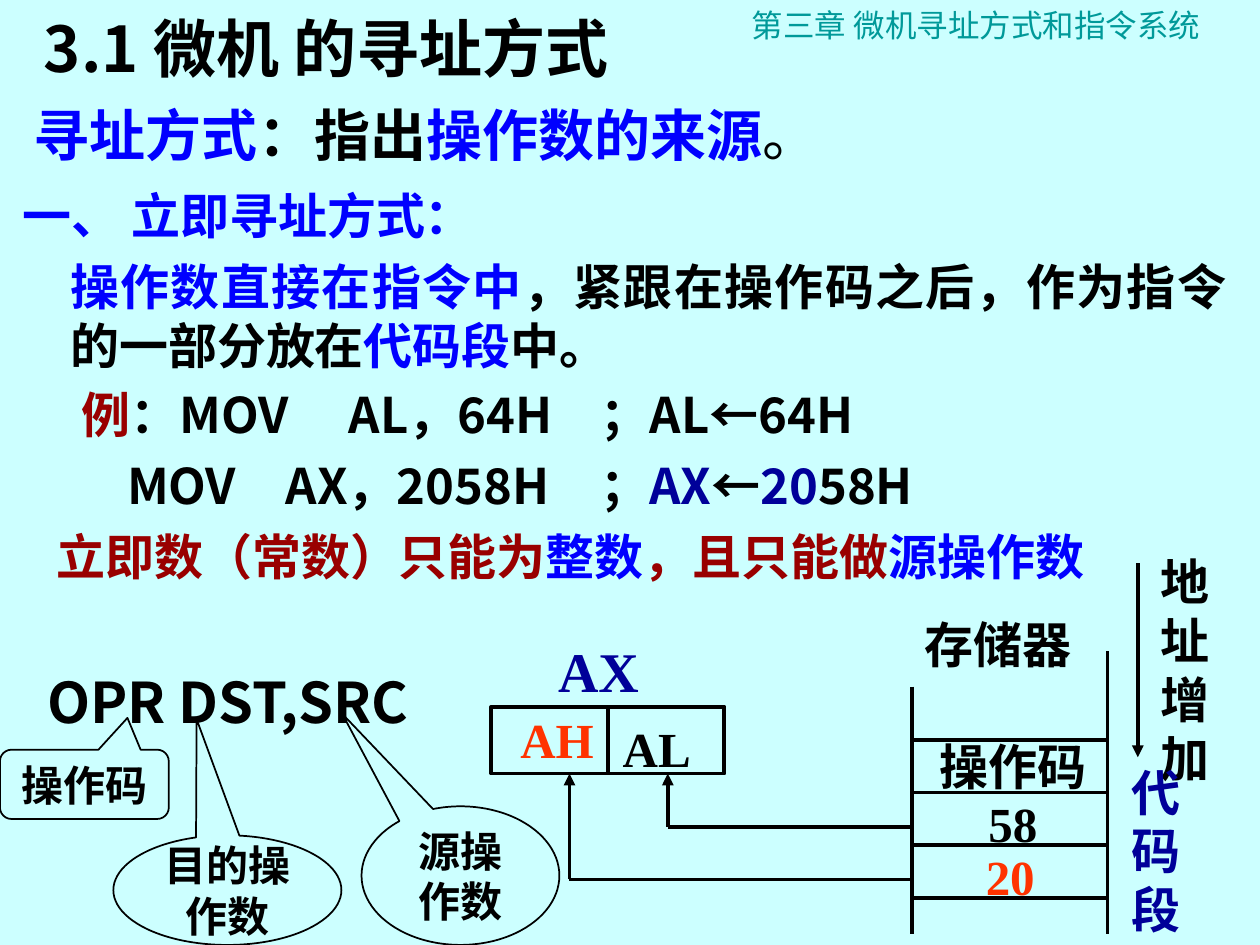
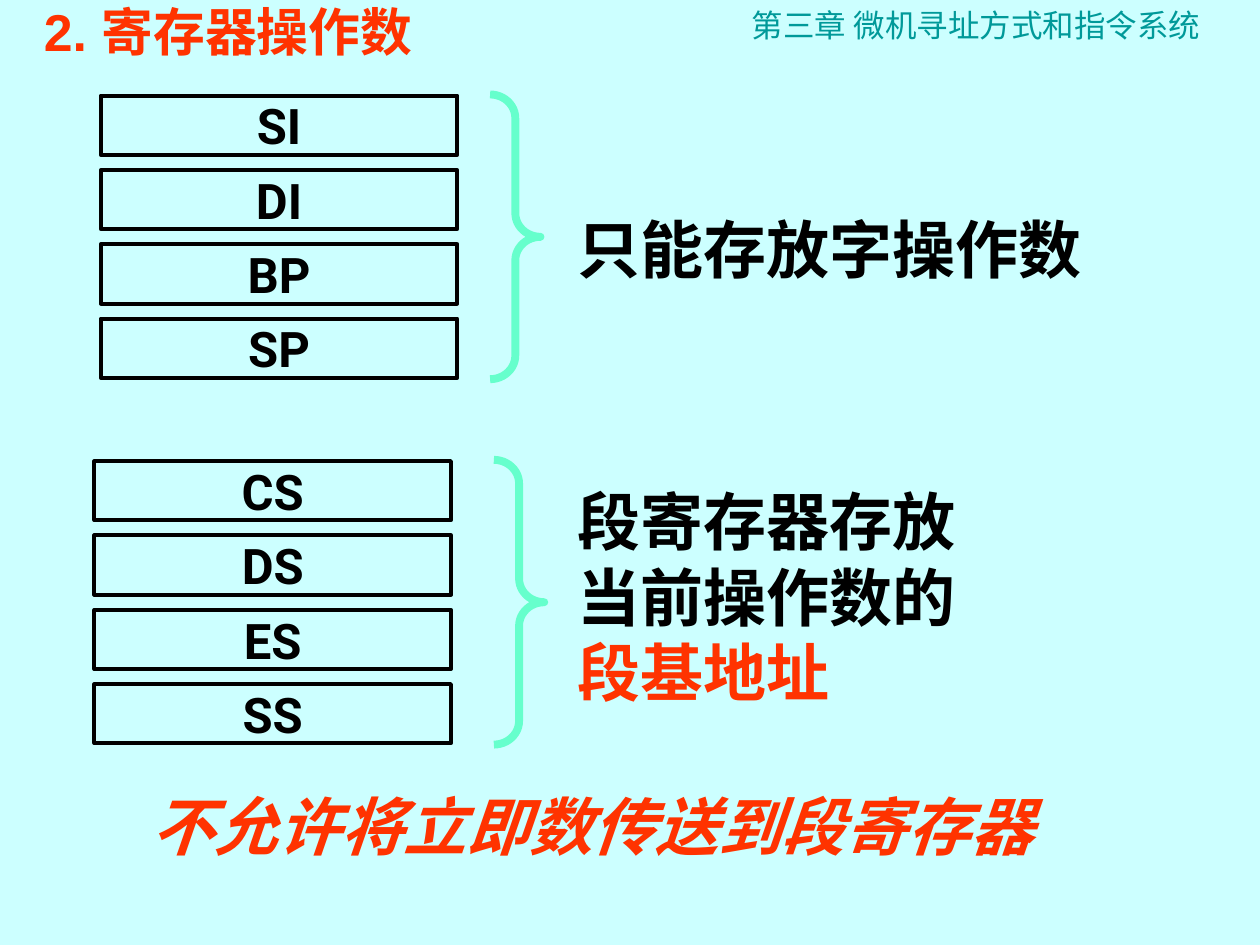
from lxml.etree import SubElement
from pptx import Presentation
from pptx.dml.color import RGBColor
from pptx.enum.shapes import MSO_CONNECTOR, MSO_SHAPE
from pptx.enum.text import MSO_ANCHOR, PP_ALIGN
from pptx.oxml.ns import qn
from pptx.util import Inches, Pt

PALE_CYAN = RGBColor(0xCC, 0xFF, 0xFF)
TEAL = RGBColor(0x00, 0x99, 0x99)
BLACK = RGBColor(0, 0, 0)
BLUE = RGBColor(0, 0, 0xFF)
NAVY = RGBColor(0, 0, 0x99)
MAROON = RGBColor(0x99, 0, 0)
ORANGE = RGBColor(0xFF, 0x33, 0)
MINT = RGBColor(0x66, 0xFF, 0xCC)

CJK = "Noto Sans CJK SC"
SERIF = "Times New Roman"
SANS = "Arial"
REGISTER_FONT = "Roboto"

MEMORY_LEFT, MEMORY_RIGHT = 7.24, 8.79
MEMORY_TOP, MEMORY_PITCH = 5.87, 0.42
REGISTER_PITCH = 0.59


def write(frame, paragraphs, size=28, font=CJK, color=BLACK, bold=True, italic=False,
          align=PP_ALIGN.LEFT, anchor=MSO_ANCHOR.TOP, inset=(0.1, 0.05),
          gap=0, line_spacing=None, layouts=()):
    """Fill a frame with text, or with paragraphs made of (text, colour, bold) runs."""
    if isinstance(paragraphs, str):
        paragraphs = [[(paragraphs, color)]]
    frame.word_wrap = True
    frame.vertical_anchor = anchor
    frame.margin_left = frame.margin_right = Inches(inset[0])
    frame.margin_top = frame.margin_bottom = Inches(inset[1])
    for index, runs in enumerate(paragraphs):
        paragraph = frame.add_paragraph() if index else frame.paragraphs[0]
        paragraph.alignment = align
        if index and gap:
            paragraph.space_before = Pt(gap)
        if line_spacing:
            paragraph.line_spacing = line_spacing
        if layouts:
            set_indents(paragraph, *layouts[index])
        for text, run_color, *run_bold in runs:
            run = paragraph.add_run()
            run.text = text
            run.font.size = Pt(size)
            run.font.name = font
            run.font.bold = run_bold[0] if run_bold else bold
            run.font.italic = italic
            run.font.color.rgb = run_color
            SubElement(run.font._element, qn("a:ea"), typeface=CJK)


def set_indents(paragraph, margin, first_line, *stops):
    """Set the left margin, first-line indent and tab stops in inches."""
    properties = paragraph._p.get_or_add_pPr()
    properties.set("marL", str(Inches(margin)))
    properties.set("indent", str(Inches(first_line)))
    if stops:
        tabs = SubElement(properties, qn("a:tabLst"))
        for stop in stops:
            SubElement(tabs, qn("a:tab"), pos=str(Inches(stop)), algn="l")


def add_text(slide, place, paragraphs, **style):
    """Add a text box at a place given as left, top, width, height."""
    box = slide.shapes.add_textbox(*map(Inches, place))
    write(box.text_frame, paragraphs, **style)


def add_outline(slide, kind, place, color=BLACK, width=2.25, adjustments=()):
    """Add an unfilled preset shape and return it."""
    outline = slide.shapes.add_shape(kind, *map(Inches, place))
    outline.shadow.inherit = False
    outline.fill.background()
    outline.line.color.rgb = color
    outline.line.width = Pt(width)
    for index, value in enumerate(adjustments):
        outline.adjustments[index] = value
    return outline


def add_line(slide, start, end, arrow=False):
    """Add a straight black line, optionally with an arrowhead at its end."""
    line = slide.shapes.add_connector(MSO_CONNECTOR.STRAIGHT, *map(Inches, (*start, *end)))
    line.line.color.rgb = BLACK
    line.line.width = Pt(2.25)
    if arrow:
        SubElement(line.line._get_or_add_ln(), qn("a:tailEnd"), type="triangle")
    SubElement(line._element.spPr, qn("a:effectLst"))
    return line


def add_callout(slide, kind, place, pointer, text):
    """Add a thin callout with centred text."""
    callout = add_outline(slide, kind, place, width=1, adjustments=pointer)
    write(callout.text_frame, text, size=24, align=PP_ALIGN.CENTER, anchor=MSO_ANCHOR.MIDDLE)


def add_register_group(slide, left, top, names, brace_left, brace_top):
    """Stack register boxes and close them with a brace."""
    for row, name in enumerate(names):
        register = add_outline(slide, MSO_SHAPE.RECTANGLE,
                               (left, top + row * REGISTER_PITCH, 2.83, 0.47))
        write(register.text_frame, name, font=REGISTER_FONT, align=PP_ALIGN.CENTER,
              anchor=MSO_ANCHOR.MIDDLE, inset=(0, 0))
    add_outline(slide, MSO_SHAPE.RIGHT_BRACE, (brace_left, brace_top, 0.4, 2.26),
                color=MINT, width=4.5, adjustments=(0.47, 0.5))


def add_chapter_slide(deck):
    """Add a blank slide with the background and chapter header."""
    slide = deck.slides.add_slide(deck.slide_layouts[6])
    slide.background.fill.solid()
    slide.background.fill.fore_color.rgb = PALE_CYAN
    add_text(slide, (5.87, 0, 3.94, 0.4), "第三章 微机寻址方式和指令系统",
             size=18, font=SANS, color=TEAL, bold=False)
    return slide


def add_definitions(slide):
    """Add the title, definitions and instruction examples."""
    add_text(slide, (0.25, 0, 6.35, 0.75), "3.1 微机 的寻址方式", size=36,
             anchor=MSO_ANCHOR.MIDDLE)
    add_text(slide, (0.17, 0.75, 7.58, 0.67),
             [[("寻址方式", BLUE), ("：指出", BLACK), ("操作数的来源", BLUE),
               ("。", BLACK, False)]], size=32)
    add_text(slide, (0.08, 1.42, 9.75, 1.58), [
        [("一、 立即寻址方式：", BLUE)],
        [("操作数直接在指令中", BLUE), ("，紧跟在操作码之后，作为指令的一部分放在", BLACK),
         ("代码段", BLUE), ("中。", BLACK)],
    ], align=PP_ALIGN.JUSTIFY, gap=7, layouts=[(0, 0), (0.38, 0)])
    add_text(slide, (0.17, 3, 9.75, 1.75), [
        [("例", MAROON), ("：MOV\tAL，64H\t；AL←64H", BLACK)],
        [("MOV\tAX，2058H\t；", BLACK), ("AX", NAVY), ("←", BLACK), ("20", NAVY),
         ("58H", BLACK)],
        [("立即数（常数）只能为", MAROON), ("整数", BLUE), ("，且只能做", MAROON),
         ("源操作数", BLUE)],
    ], gap=7, layouts=[(0, 0.38, 2.28, 4.62), (0, 0.74, 2.46, 5.09), (0, 0.18)])


def add_instruction_format(slide):
    """Add the instruction format and its callouts."""
    add_text(slide, (0, 5.25, 3.62, 0.63), "OPR DST,SRC", size=32, align=PP_ALIGN.CENTER)
    add_callout(slide, MSO_SHAPE.ROUNDED_RECTANGULAR_CALLOUT, (0, 5.95, 1.34, 0.55),
                (0.255, -0.959, 0.167), "操作码")
    for place, pointer, text in (
        ((0.9, 6.63, 1.81, 0.87), (-0.135, -1.56), "目的操作数"),
        ((2.87, 6.4, 1.57, 1.1), (-0.598, -1.168), "源操作数"),
    ):
        add_callout(slide, MSO_SHAPE.OVAL_CALLOUT, place, pointer, text)


def add_memory_diagram(slide):
    """Draw the AX register, the memory column and the data paths."""
    ax_register = add_outline(slide, MSO_SHAPE.RECTANGLE, (3.9, 5.61, 1.85, 0.53))
    half_divider = add_line(slide, (4.83, 5.61), (4.83, 6.14))
    half_divider.begin_connect(ax_register, 0)
    half_divider.end_connect(ax_register, 2)

    for row in range(4):
        y = MEMORY_TOP + row * MEMORY_PITCH
        add_line(slide, (MEMORY_LEFT, y), (MEMORY_RIGHT, y))
    for x, top in ((MEMORY_LEFT, 5.45), (MEMORY_RIGHT, 5.17)):
        add_line(slide, (x, top), (x, 7.41))
    for x, y in ((5.3, 6.56), (4.52, 6.98)):
        add_line(slide, (x, y), (MEMORY_LEFT, y))
        add_line(slide, (x, y), (x, 6.14), arrow=True)
    add_line(slide, (9.03, 4.47), (9.03, 6.01), arrow=True)

    add_text(slide, (7.24, 4.83, 1.6, 0.57), "存储器", font=SERIF)
    add_text(slide, (4.17, 5, 1, 0.64), "AX", size=32, font=SERIF, color=NAVY,
             align=PP_ALIGN.RIGHT)
    for place, text, color in (
        ((7.24, 5.8, 1.48, 0.57), "操作码", BLACK),
        ((7.59, 6.25, 0.74, 0.57), "58", BLACK),
        ((7.67, 6.67, 0.64, 0.57), "20", ORANGE),
        ((9.11, 4.33, 0.47, 1.97), "地址增加", BLACK),
        ((8.79, 6, 0.68, 1.5), "代码段", NAVY),
        ((4.05, 5.65, 1.53, 0.57), "AL", BLACK),
        ((3.92, 5.58, 0.89, 0.57), "AH", ORANGE),
    ):
        add_text(slide, place, text, font=SERIF, color=color, align=PP_ALIGN.RIGHT)


def add_register_operands(slide):
    """Add the two register groups with their rules."""
    add_text(slide, (0.25, 0.08, 3.67, 0.5), "2. 寄存器操作数", size=29.6, font=SANS,
             color=ORANGE, line_spacing=0.7)
    add_register_group(slide, 0.8, 0.76, ("SI", "DI", "BP", "SP"), 3.89, 0.75)
    add_register_group(slide, 0.75, 3.66, ("CS", "DS", "ES", "SS"), 3.92, 3.65)
    rule_style = {"size": 36, "font": SERIF, "inset": (0, 0)}
    add_text(slide, (4.58, 1.67, 4.33, 0.6), "只能存放字操作数", **rule_style)
    add_text(slide, (4.58, 3.83, 3.21, 1.8),
             [[("段寄存器存放当前操作数的", BLACK), ("段基地址", ORANGE)]], **rule_style)
    add_text(slide, (0.58, 6.25, 8.25, 0.6), "不允许将立即数传送到段寄存器",
             color=ORANGE, italic=True, align=PP_ALIGN.CENTER, **rule_style)


def main():
    """Build both slides and save the deck."""
    deck = Presentation()
    deck.slide_width, deck.slide_height = Inches(10), Inches(7.5)
    immediate = add_chapter_slide(deck)
    add_definitions(immediate)
    add_memory_diagram(immediate)
    add_instruction_format(immediate)
    add_register_operands(add_chapter_slide(deck))
    deck.save("out.pptx")


if __name__ == "__main__":
    main()
